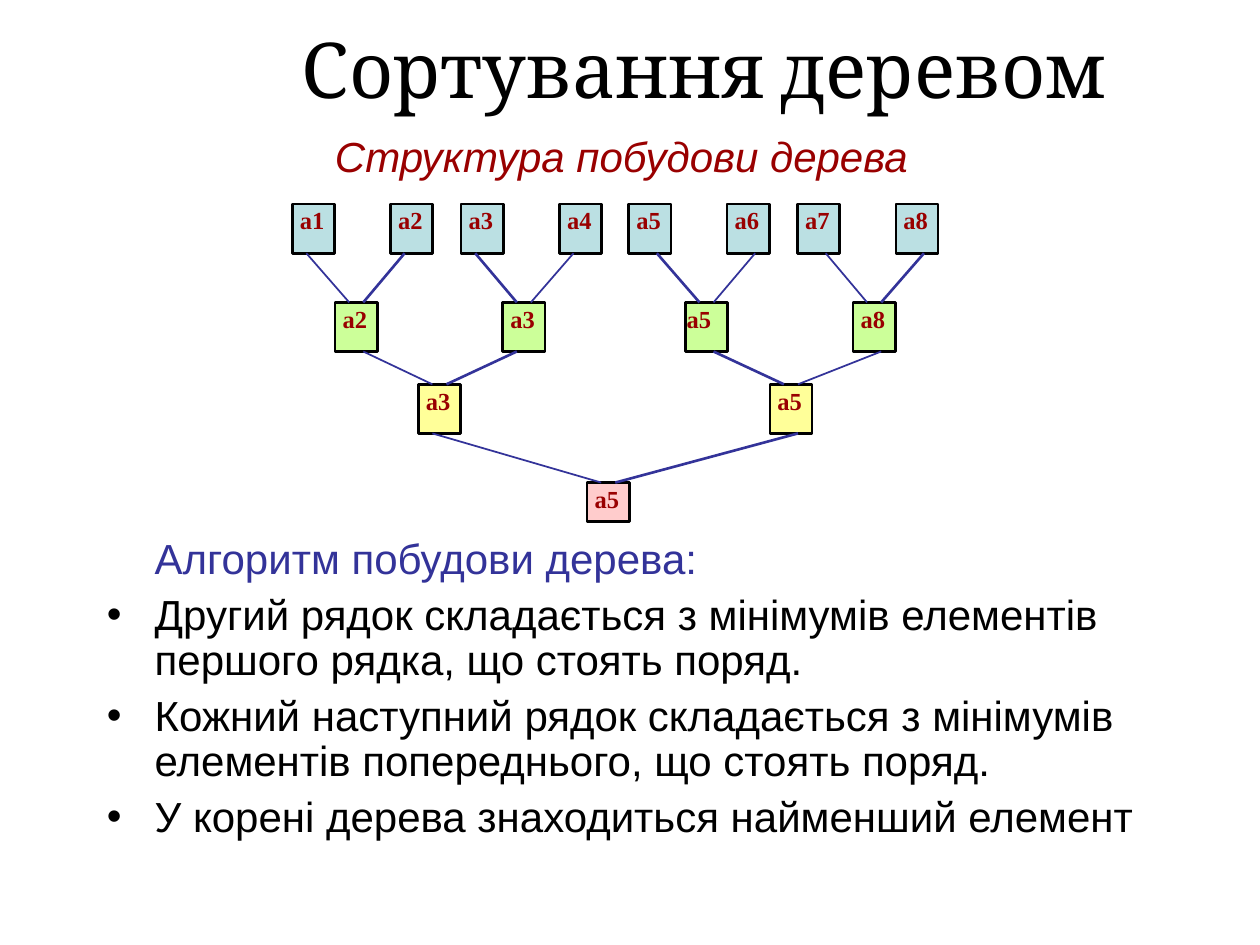
from dataclasses import dataclass

from lxml import etree
from pptx import Presentation
from pptx.dml.color import RGBColor
from pptx.enum.shapes import MSO_CONNECTOR, MSO_SHAPE
from pptx.enum.text import MSO_ANCHOR, MSO_AUTO_SIZE, PP_ALIGN
from pptx.oxml.ns import qn
from pptx.util import Inches, Pt

RECT, STRAIGHT = MSO_SHAPE.RECTANGLE, MSO_CONNECTOR.STRAIGHT
TOP, MIDDLE = MSO_ANCHOR.TOP, MSO_ANCHOR.MIDDLE
LEFT, CENTER = PP_ALIGN.LEFT, PP_ALIGN.CENTER
FIXED, FIT_SHAPE = MSO_AUTO_SIZE.NONE, MSO_AUTO_SIZE.SHAPE_TO_FIT_TEXT


@dataclass(frozen=True)
class Theme:
    black: str = "000000"
    red: str = "990000"
    blue: str = "333399"
    levels: tuple[str, ...] = ("BBE0E3", "CCFF99", "FFFF99", "FFCCCC")
    title_font: str = "Cambria"
    body_font: str = "Arial"
    node_font: str = "Times New Roman"
    title_size: float = 44
    body_size: float = 24
    node_size: float = 14
    thin: float = 1
    thick: float = 1.5


@dataclass(frozen=True)
class Node:
    name: str
    left: float
    exit: int  # third of the width where the edge to the parent starts
    inset: float = 0.06


@dataclass(frozen=True)
class Level:
    top: float
    height: float
    nodes: tuple[Node, ...]


THEME = Theme()
NODE_W = 0.335
LEVELS = (
    Level(1.62, 0.39, (
        Node("a1", 2.32, 1), Node("a2", 3.1, 1), Node("a3", 3.66, 1), Node("a4", 4.44, 1),
        Node("a5", 4.99, 2), Node("a6", 5.77, 2), Node("a7", 6.33, 2), Node("a8", 7.11, 2))),
    Level(2.4, 0.39, (
        Node("a2", 2.66, 2), Node("a3", 3.99, 1),
        Node("a5", 5.44, 2, inset=0.01), Node("a8", 6.77, 2))),
    Level(3.05, 0.39, (Node("a3", 3.32, 1), Node("a5", 6.11, 2))),
    Level(3.83, 0.31, (Node("a5", 4.66, 1),)),
)
HEADING = "Алгоритм побудови дерева:"
RULES = (
    "Другий рядок складається з мінімумів елементів першого рядка, що стоять поряд.",
    "Кожний наступний рядок складається з мінімумів елементів попереднього, що стоять поряд.",
    "У корені дерева знаходиться найменший елемент",
)


def write(p, text: str, *, font: str, size: float, color: str, bold: bool = False,
          italic: bool = False, align=LEFT) -> None:
    p.alignment = align
    r = p.add_run()
    r.text = text
    r.font.name, r.font.size = font, Pt(size)
    r.font.bold, r.font.italic = bold, italic
    r.font.color.rgb = RGBColor.from_string(color)


def set_list_format(p, bullet: str = "") -> None:
    """Indent the paragraph, hanging it from a bullet if one is given."""
    p.line_spacing, p.space_before = 0.9, Pt(6)
    pPr = p._p.get_or_add_pPr()
    pPr.set("marL", str(Inches(0.38)))
    pPr.set("indent", str(-Inches(0.38) if bullet else 0))
    if bullet:
        etree.SubElement(pPr, qn("a:buFont"), typeface=THEME.body_font)
        etree.SubElement(pPr, qn("a:buChar"), char=bullet)


def add_title(s, text: str) -> None:
    sp = s.shapes.title
    sp.left, sp.top, sp.width, sp.height = map(Inches, (1.93, 0, 7.32, 1.07))
    tf = sp.text_frame
    tf.vertical_anchor, tf.auto_size = MIDDLE, FIXED
    write(tf.paragraphs[0], text, font=THEME.title_font, size=THEME.title_size,
          color=THEME.black, align=CENTER)


def add_algorithm(s) -> None:
    tf = s.shapes.add_textbox(*map(Inches, (0.75, 4.22, 9, 3.94))).text_frame
    tf.word_wrap = True
    for i, text in enumerate((HEADING, *RULES)):
        p = tf.add_paragraph() if i else tf.paragraphs[0]
        set_list_format(p, "•" if i else "")
        write(p, text, font=THEME.body_font, size=THEME.body_size,
              color=THEME.black if i else THEME.blue)


def add_node(s, node: Node, level: Level, fill: str) -> None:
    sp = s.shapes.add_shape(
        RECT, *map(Inches, (node.left, level.top, NODE_W, level.height)))
    sp.shadow.inherit = False
    sp.fill.solid()
    sp.fill.fore_color.rgb = RGBColor.from_string(fill)
    sp.line.color.rgb = RGBColor.from_string(THEME.black)
    sp.line.width = Pt(THEME.thick)
    tf = sp.text_frame
    tf.word_wrap, tf.vertical_anchor = True, TOP
    tf.margin_left = Inches(node.inset)
    tf.margin_top = tf.margin_right = tf.margin_bottom = Inches(0.01)
    write(tf.paragraphs[0], node.name, font=THEME.node_font, size=THEME.node_size,
          color=THEME.red, bold=True)


def third(node: Node, n: int) -> float:
    return node.left + NODE_W * n / 3


def add_edges(s, upper: Level, lower: Level) -> None:
    """Join each pair to its minimum, with a thick edge from the smaller element."""
    for i, child in enumerate(upper.nodes):
        parent = lower.nodes[i // 2]
        ends = (third(child, child.exit), upper.top + upper.height,
                third(parent, i % 2 + 1), lower.top)
        line = s.shapes.add_connector(STRAIGHT, *map(Inches, ends))
        line.line.color.rgb = RGBColor.from_string(THEME.blue)
        line.line.width = Pt(THEME.thick if child.name == parent.name else THEME.thin)
        etree.SubElement(line._element.spPr, qn("a:effectLst"))


def add_subtitle(s, text: str) -> None:
    tf = s.shapes.add_textbox(*map(Inches, (2.56, 0.99, 4.78, 0.5))).text_frame
    tf.word_wrap, tf.auto_size = False, FIT_SHAPE
    write(tf.paragraphs[0], text, font=THEME.body_font, size=THEME.body_size,
          color=THEME.red, italic=True)


def main() -> None:
    prs = Presentation()
    prs.slide_width, prs.slide_height = Inches(10), Inches(7.5)
    s = prs.slides.add_slide(prs.slide_layouts.get_by_name("Title Only"))
    add_title(s, "Сортування деревом")
    add_algorithm(s)
    for level, fill in zip(LEVELS, THEME.levels):
        for node in level.nodes:
            add_node(s, node, level, fill)
    for upper, lower in zip(LEVELS, LEVELS[1:]):
        add_edges(s, upper, lower)
    add_subtitle(s, "Структура побудови дерева")
    prs.save("out.pptx")


if __name__ == "__main__":
    main()
